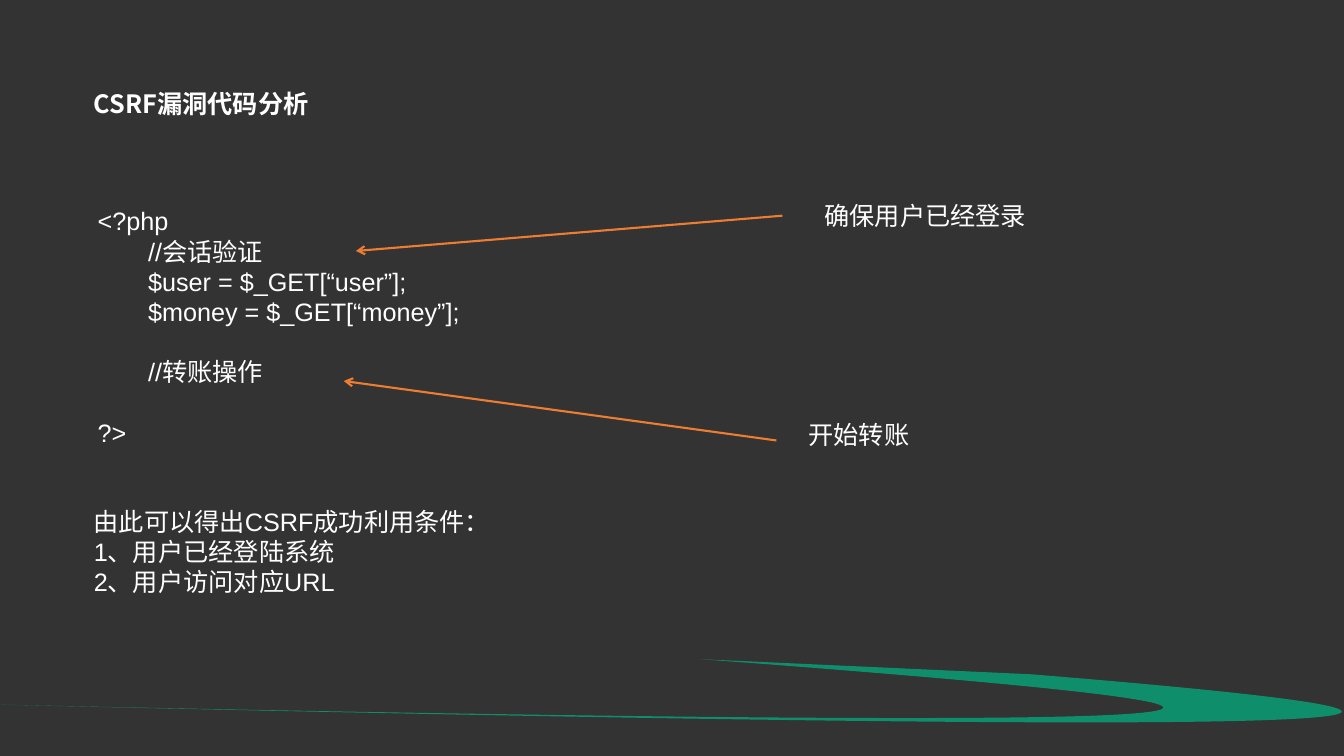
import lxml.etree
import pptx
import pptx.dml.color
import pptx.enum.shapes
import pptx.enum.text
import pptx.oxml.ns
import pptx.util

Inches = pptx.util.Inches
Pt = pptx.util.Pt
qn = pptx.oxml.ns.qn
WHITE, BLACK, GREEN, ORANGE = "FFFFFF", "000000", "00B683", "ED7D31"
CJK = "Noto Sans CJK SC"
GAP = 21.5


def color(code):
    """Turn a hex string into a colour."""
    return pptx.dml.color.RGBColor.from_string(code)


def place(shape, box):
    """Move a shape to a box given in inches."""
    shape.left, shape.top, shape.width, shape.height = map(Inches, box)


def paint(shape, code, alpha):
    """Give a shape a flat fill of some opacity and no line."""
    shape.shadow.inherit = False
    shape.fill.solid()
    shape.fill.fore_color.rgb = color(code)
    tint = shape.element.spPr.find(".//" + qn("a:srgbClr"))
    lxml.etree.SubElement(tint, qn("a:alpha")).set("val", str(alpha * 1000))
    shape.line.fill.background()


def write(shape, lines, face="Arial", bold=False, gaps=()):
    """Fill a shape with lines, adding space before those listed in gaps."""
    frame = shape.text_frame
    frame.word_wrap = True
    frame.auto_size = pptx.enum.text.MSO_AUTO_SIZE.NONE
    frame.vertical_anchor = pptx.enum.text.MSO_ANCHOR.TOP
    for i, line in enumerate(lines):
        para = frame.paragraphs[0] if i == 0 else frame.add_paragraph()
        props = para._p.get_or_add_pPr()
        props.set("marL", "0")
        props.set("indent", "0")
        lxml.etree.SubElement(props, qn("a:buNone"))
        tabs = lxml.etree.SubElement(props, qn("a:tabLst"))
        stop = lxml.etree.SubElement(tabs, qn("a:tab"))
        stop.set("pos", str(Inches(1)))
        stop.set("algn", "l")
        para.alignment = pptx.enum.text.PP_ALIGN.LEFT
        para.space_before = Pt(GAP if i in gaps else 0)
        run = para.add_run()
        run.text = line
        run.font.size = Pt(18)
        run.font.bold = bold
        run.font.name = face
        run.font.color.rgb = color(WHITE)
        east = lxml.etree.SubElement(run._r.get_or_add_rPr(), qn("a:ea"))
        east.set("typeface", CJK)


def label(slide, box, lines, gaps=()):
    """Add a text box with lines of text."""
    shape = slide.shapes.add_textbox(*map(Inches, box))
    write(shape, lines, gaps=gaps)


def arrow(slide, start, end):
    """Draw an orange arrow from start to end."""
    kind = pptx.enum.shapes.MSO_CONNECTOR.STRAIGHT
    link = slide.shapes.add_connector(kind, *map(Inches, start + end))
    link.line.color.rgb = color(ORANGE)
    link.line.width = Pt(1.5)
    props = link.element.spPr
    tail = lxml.etree.SubElement(props.find(qn("a:ln")), qn("a:tailEnd"))
    tail.set("type", "arrow")
    lxml.etree.SubElement(props, qn("a:effectLst"))


def veil(deck, slide, box):
    """Lay two dark sheets over the white ground of the slide master."""
    ground = deck.slide_master.background.fill
    ground.solid()
    ground.fore_color.rgb = color(WHITE)
    kind = pptx.enum.shapes.MSO_SHAPE.RECTANGLE
    for number in (21, 22):
        sheet = slide.shapes.add_shape(kind, *map(Inches, box))
        paint(sheet, BLACK, 55)
        sheet.element.find(".//" + qn("p:cNvPr")).set("id", str(number))
        deck.slide_master.shapes.element.insert(2, sheet.element)


def swoosh(slide, box):
    """Draw the green sweep along the foot of the slide."""
    x, y, wide, high = map(Inches, box)
    build = slide.shapes.build_freeform(x, y)
    build.add_line_segments([(x + wide, y), (x + wide, y + high)], close=True)
    shape = build.convert_to_shape()
    trace = shape.element.spPr.find(".//" + qn("a:path"))
    for step in list(trace):
        trace.remove(step)
    root, left, tip = (10.28, 0.17), (-0.01, 0.47), (7, 0.02)
    steps = (("moveTo", [root]),
             ("cubicBezTo", [(16.79, 0.7), (12.8, 0.77), left]),
             ("cubicBezTo", [(16.6, 0.83), (11.91, 0.39), tip]),
             ("lnTo", [root]), ("close", []))
    for name, points in steps:
        step = lxml.etree.SubElement(trace, qn("a:" + name))
        for px, py in points:
            point = lxml.etree.SubElement(step, qn("a:pt"))
            point.set("x", str(Inches(px)))
            point.set("y", str(Inches(py)))
    paint(shape, GREEN, 70)


def code(slide, box):
    """Show the PHP listing with its two notes and arrows."""
    x, y = box[:2]
    label(slide, box, ["<?php", "\t//会话验证", "\t$user = $_GET[“user”];",
                       "\t$money = $_GET[“money”];", "\t//转账操作", "?>"],
          gaps=(4, 5))
    arrow(slide, (x + 6.89, y + 0.15), (x + 2.66, y + 0.5))
    label(slide, (x + 7.21, y - 0.05, 3.97, 0.4), ["确保用户已经登录"])
    arrow(slide, (x + 6.83, y + 2.38), (x + 2.54, y + 1.79))
    label(slide, (x + 7.05, y + 2.12, 3.97, 0.4), ["开始转账"])


def main():
    """Build and save the slide."""
    deck = pptx.Presentation()
    deck.slide_width, deck.slide_height = Inches(13.33), Inches(7.5)
    slide = deck.slides.add_slide(deck.slide_layouts[1])
    veil(deck, slide, (0, 0, 13.36, 7.5))
    title, body = slide.shapes.title, slide.placeholders[1]
    place(title, (0.83, 0.83, 11.59, 0.4))
    write(title, ["CSRF漏洞代码分析"], face=CJK, bold=True)
    place(body, (0.83, 4.97, 11.59, 1.01))
    write(body, ["由此可以得出CSRF成功利用条件：", "1、用户已经登陆系统",
                 "2、用户访问对应URL"])
    swoosh(slide, (-0.05, 6.52, 13.36, 0.77))
    code(slide, (0.87, 1.99, 11.59, 2.52))
    deck.save("out.pptx")


if __name__ == "__main__":
    main()
